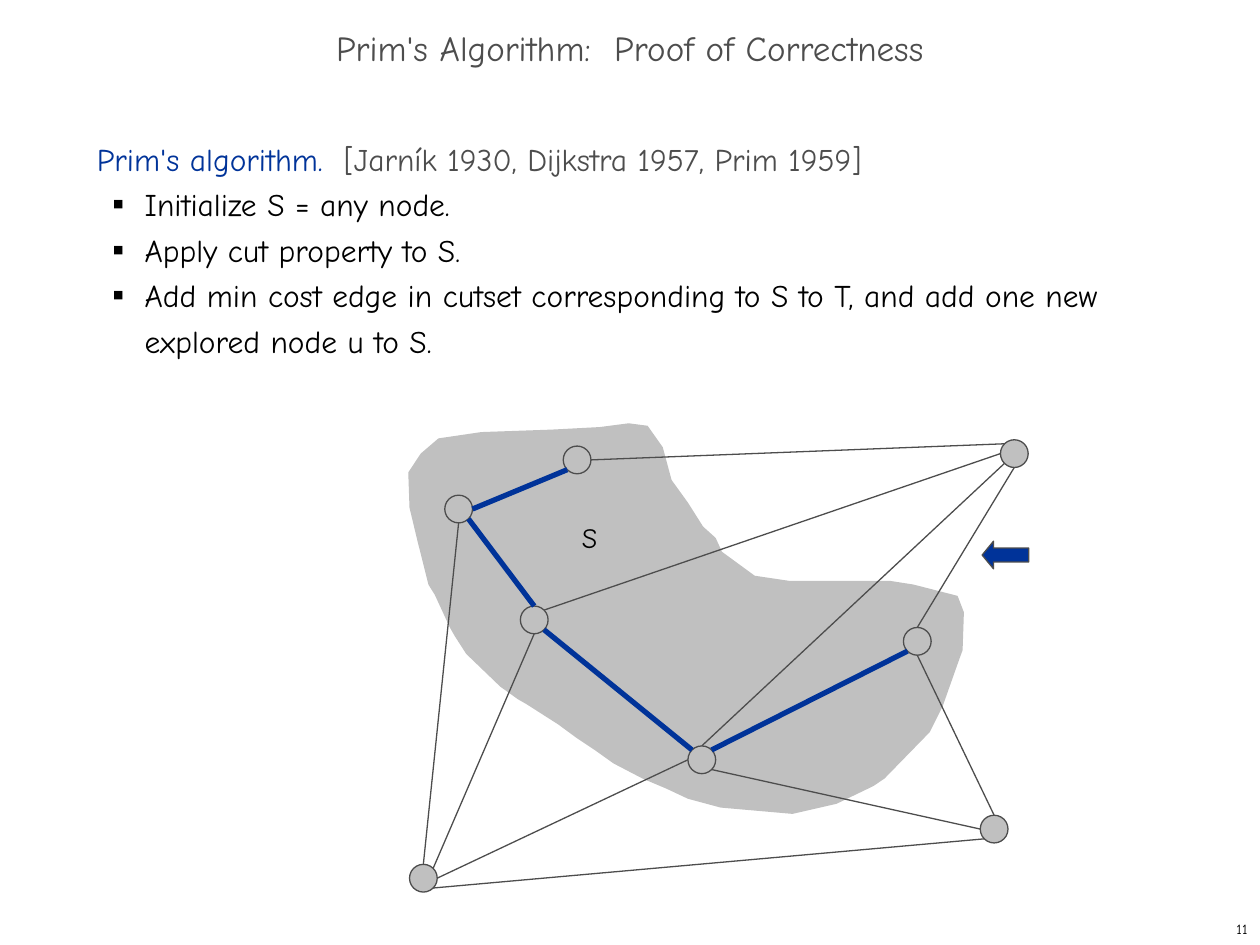
from lxml import etree
from math import cos, radians, sin

from pptx import Presentation
from pptx.dml.color import RGBColor
from pptx.enum.shapes import MSO_CONNECTOR, MSO_SHAPE
from pptx.enum.text import MSO_ANCHOR, MSO_AUTO_SIZE, PP_ALIGN
from pptx.oxml.ns import qn
from pptx.util import Inches, Pt

BLUE = RGBColor(0x00, 0x33, 0x99)
DARK = RGBColor(0x4D, 0x4D, 0x4D)
GRAY = RGBColor(0xC0, 0xC0, 0xC0)
BLACK = RGBColor(0x00, 0x00, 0x00)
FONT = "Comic Neue"
LINE = MSO_CONNECTOR.STRAIGHT
ELLIPSE, UP_ARROW = MSO_SHAPE.OVAL, MSO_SHAPE.UP_ARROW
MIDDLE, TOP = MSO_ANCHOR.MIDDLE, MSO_ANCHOR.TOP
CENTER, RIGHT = PP_ALIGN.CENTER, PP_ALIGN.RIGHT
NO_FIT = MSO_AUTO_SIZE.NONE

STEPS = [
    "Initialize S = any node.",
    "Apply cut property to S.",
    "Add min cost edge in cutset corresponding to S to T, and add one new "
    "explored node u to S.",
]

# Outline of the explored set S, in hundredths of an inch within the graph box
REGION = [
    (24, 26), (58, 21), (114, 19), (152, 17), (175, 14), (190, 16), (202, 33),
    (209, 59), (222, 77), (234, 96), (244, 105), (249, 116), (275, 135),
    (302, 139), (382, 139), (401, 142), (436, 151), (441, 164),
    (440, 194), (436, 205), (424, 239), (414, 259), (378, 296),
    (369, 302), (340, 316), (305, 324), (248, 319), (222, 312), (205, 304),
    (186, 296), (163, 284), (149, 274), (134, 264), (119, 253),
    (94, 237), (87, 233), (73, 223), (46, 197), (37, 183), (33, 176),
    (21, 150), (16, 142), (7, 106), (1, 81), (0, 53), (10, 38),
]

# Node centres in inches within the graph box
RADIUS = 0.11
NODES = {
    "a": (0.4, 0.82), "b": (1.34, 0.43), "c": (1.0, 1.7), "d": (2.33, 2.81),
    "e": (4.04, 1.87), "f": (4.81, 0.38), "g": (4.65, 3.36), "h": (0.12, 3.75),
}
# Sides of a node as angles, clockwise from the right
SIDES = {"E": 0, "SE": 45, "S": 90, "SW": 135, "W": 180, "NW": 225, "N": 270,
         "NE": 315}
TREE_EDGES = ["a E b SW", "a SE c N", "c SE d NW", "d NE e SW"]
OTHER_EDGES = [
    "a S h N", "c NE f W", "e N f S", "d SE g W", "e S g N",
    "f SW d N", "c S h NE", "h E d W", "b E f NW", "h SE g SW",
]


def add_run(p, text, size, color):
    r = p.add_run()
    r.text = text
    for name, value in {"name": FONT, "size": Pt(size)}.items():
        setattr(r.font, name, value)
    r.font.color.rgb = color


def add_text_box(s, box, anchor=TOP, wrap=True):
    tf = s.shapes.add_textbox(*map(Inches, box)).text_frame
    tf.word_wrap, tf.vertical_anchor = wrap, anchor
    return tf


def add_bullet(p):
    pPr = p._p.get_or_add_pPr()
    for name, value in {"marL": 0.38, "indent": -0.25, }.items():
        pPr.set(name, str(Inches(value)))
    pPr.set("lvl", "1")
    color = etree.SubElement(pPr, qn("a:buClr"))
    etree.SubElement(color, qn("a:srgbClr"), val=str(BLACK))
    etree.SubElement(pPr, qn("a:buSzPct"), val="35000")
    etree.SubElement(pPr, qn("a:buFont"), typeface=FONT)
    etree.SubElement(pPr, qn("a:buChar"), char="■")


def add_title(s, box):
    title = s.shapes.title
    title.left, title.top, title.width, title.height = map(Inches, box)
    tf = title.text_frame
    tf.auto_size, tf.vertical_anchor = NO_FIT, MIDDLE
    p = tf.paragraphs[0]
    p.alignment, p.line_spacing = CENTER, 0.7
    add_run(p, "Prim's Algorithm:  Proof of Correctness", 20, DARK)


def add_body(s, box):
    tf = add_text_box(s, box)
    p = tf.paragraphs[0]
    p.line_spacing = Pt(26)
    add_run(p, "Prim's algorithm.  ", 18, BLUE)
    add_run(p, "[Jarník 1930, Dijkstra 1957, Prim 1959]", 18, DARK)
    for step in STEPS:
        p = tf.add_paragraph()
        p.line_spacing = Pt(26)
        add_bullet(p)
        add_run(p, step, 18, BLACK)


def add_shape(s, kind, box, fill):
    sp = s.shapes.add_shape(kind, *map(Inches, box))
    sp.shadow.inherit = False
    sp.fill.solid()
    sp.fill.fore_color.rgb = fill
    sp.line.color.rgb = DARK
    sp.line.width = Pt(0.75)
    return sp


def add_region(s, left, top):
    start, *rest = REGION
    builder = s.shapes.build_freeform(*start, scale=Inches(0.01))
    builder.add_line_segments(rest, close=True)
    sp = builder.convert_to_shape(Inches(left), Inches(top))
    sp.shadow.inherit = False
    sp.fill.solid()
    sp.fill.fore_color.rgb = GRAY
    sp.line.fill.background()


def add_edge(s, left, top, edge, color, width):
    """Join two nodes, given as 'node side node side'."""
    names = edge.split()
    ends = []
    for node, side in zip(names[::2], names[1::2]):
        x, y = NODES[node]
        angle = radians(SIDES[side])
        ends += [Inches(left + x + RADIUS * cos(angle)),
                 Inches(top + y + RADIUS * sin(angle))]
    line = s.shapes.add_connector(LINE, *ends)
    line.line.color.rgb = color
    line.line.width = Pt(width)
    etree.SubElement(line._element.spPr, qn("a:effectLst"))


def add_graph(s, left, top):
    add_region(s, left, top)
    for x, y in NODES.values():
        add_shape(s, ELLIPSE, (left + x - RADIUS, top + y - RADIUS,
                               2 * RADIUS, 2 * RADIUS), GRAY)
    for edges, color, width in ((TREE_EDGES, BLUE, 3), (OTHER_EDGES, DARK, 0.75)):
        for edge in edges:
            add_edge(s, left, top, edge, color, width)
    arrow = add_shape(s, UP_ARROW, (left + 4.63, top + 1, 0.22, 0.37), BLUE)
    arrow.rotation = 270
    arrow.adjustments[1] = 0.415
    label = add_text_box(s, (left + 1.28, top + 0.86, 0.32, 0.37), wrap=False)
    add_run(label.paragraphs[0], "S", 16, BLACK)


def add_page_number(s, box):
    p = add_text_box(s, box, MIDDLE).paragraphs[0]
    p.alignment = RIGHT
    add_run(p, "11", 8, BLACK)


def main():
    prs = Presentation()
    prs.slide_width, prs.slide_height = Inches(10), Inches(7.5)
    s = prs.slides.add_slide(prs.slide_layouts[5])
    add_graph(s, 3.24, 3.22)
    add_title(s, (0, 0.17, 10, 0.5))
    add_body(s, (0.67, 1, 8.58, 5.92))
    add_page_number(s, (7.92, 7.25, 2.08, 0.25))
    prs.save("out.pptx")


if __name__ == "__main__":
    main()
